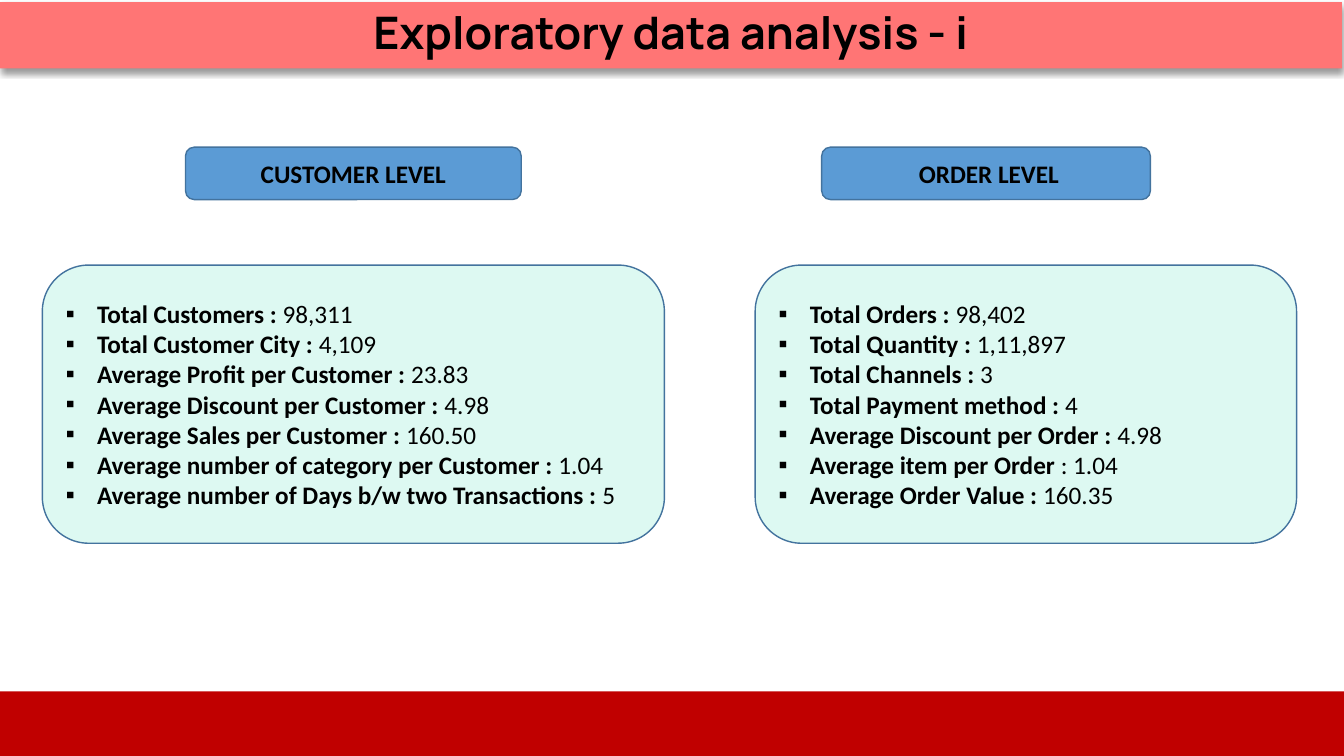
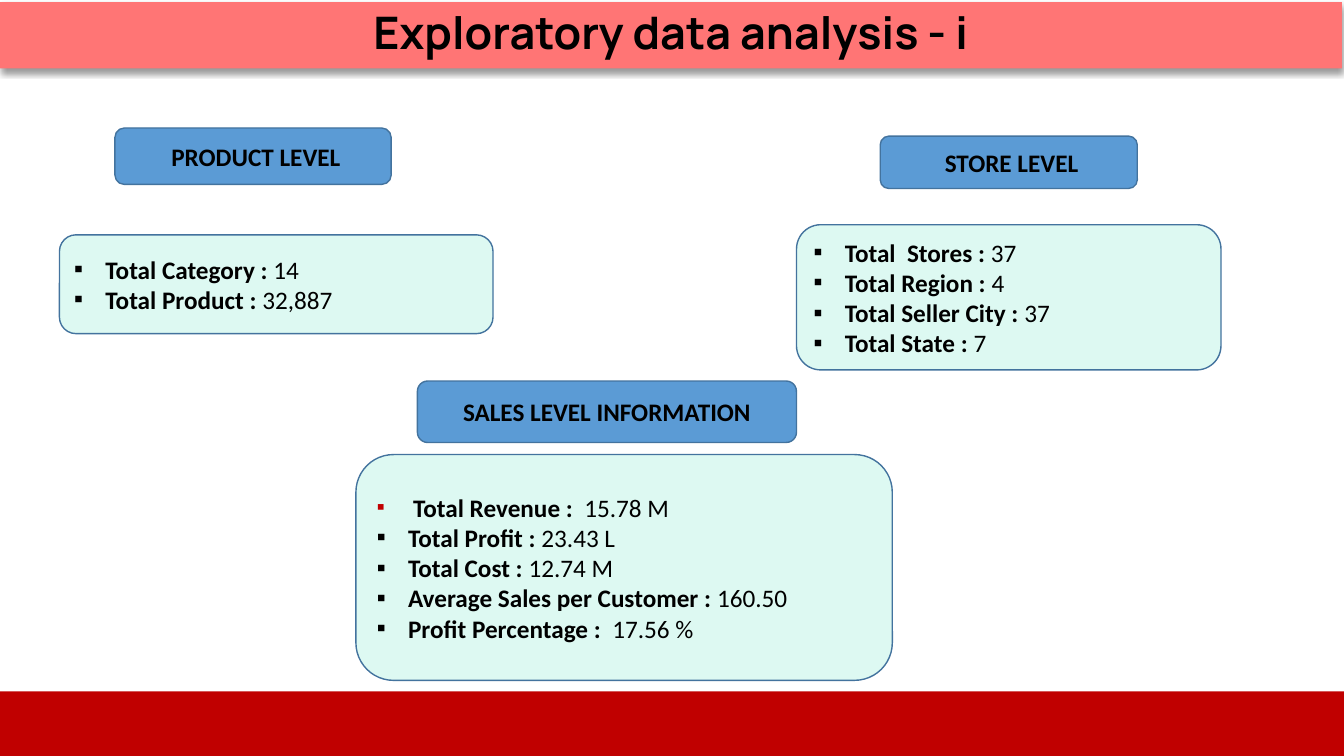
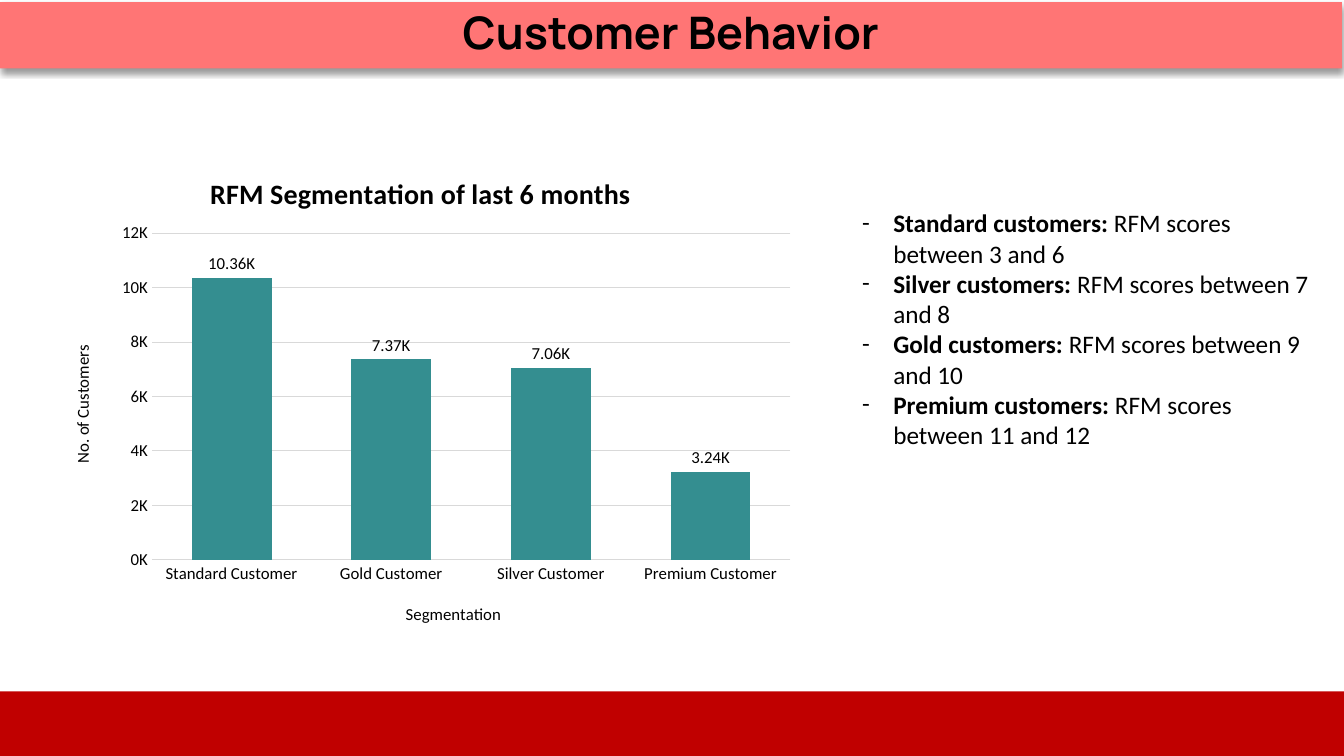
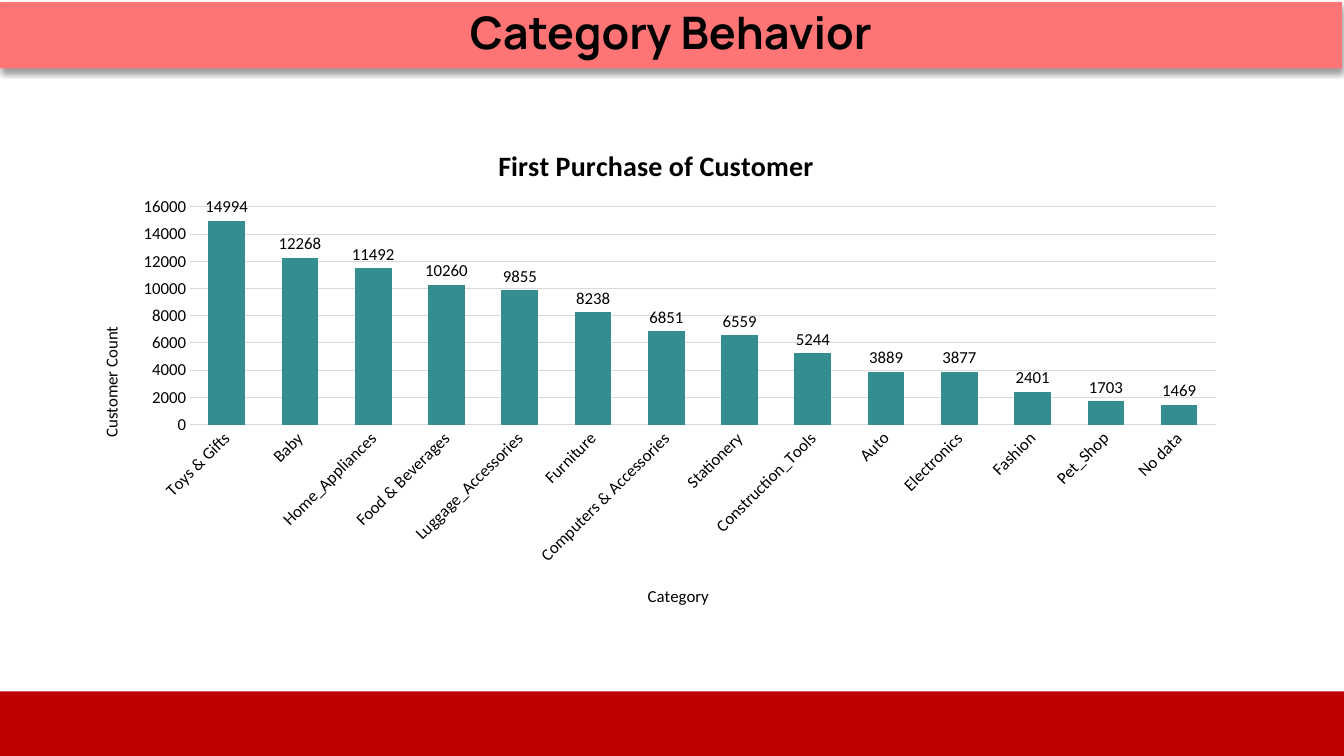
from lxml import etree
from pptx import Presentation
from pptx.chart.data import CategoryChartData
from pptx.dml.color import RGBColor
from pptx.enum import chart as charts, shapes, text
from pptx.oxml import parse_xml
from pptx.oxml.ns import nsdecls, qn
from pptx.util import Inches, Pt

BLACK = RGBColor(0x00, 0x00, 0x00)
CORAL = RGBColor(0xFF, 0x75, 0x75)
RED = RGBColor(0xC0, 0x00, 0x00)
MINT = RGBColor(0xDD, 0xF9, 0xF2)
BLUE = RGBColor(0x5B, 0x9B, 0xD5)
EDGE = RGBColor(0x43, 0x73, 0x9E)
TEAL = RGBColor(0x34, 0x8E, 0x90)
GREY = RGBColor(0xD9, 0xD9, 0xD9)

TITLE_FONT = "Manrope"
BODY_FONT = "Calibri"
BODY_LAYOUT, TITLE_LAYOUT = 1, 5
EDA_TITLE = "Exploratory data analysis - i"
BAND_SHADOW = (
    f'<a:effectLst {nsdecls("a")}><a:outerShdw blurRad="{Pt(4)}" dist="{Pt(3)}" '
    'dir="5400000" algn="t" rotWithShape="0"><a:srgbClr val="000000">'
    '<a:alpha val="40000"/></a:srgbClr></a:outerShdw></a:effectLst>'
)


def set_font(font, size, bold=False, color=BLACK, name=BODY_FONT):
    font.name = name
    font.size = Pt(size)
    font.bold = bold
    font.color.rgb = color


def move(shape, box):
    shape.left, shape.top, shape.width, shape.height = map(Inches, box)


def add_framed_slide(prs, heading, layout=TITLE_LAYOUT):
    slide = prs.slides.add_slide(prs.slide_layouts[layout])
    title = slide.shapes.title
    move(title, (0, 0.02, 13.31, 0.66))
    title.fill.solid()
    title.fill.fore_color.rgb = CORAL
    title._element.spPr.append(parse_xml(BAND_SHADOW))
    frame = title.text_frame
    frame.text = heading
    frame.auto_size = text.MSO_AUTO_SIZE.NONE
    frame.vertical_anchor = text.MSO_ANCHOR.MIDDLE
    paragraph = frame.paragraphs[0]
    paragraph.alignment = text.PP_ALIGN.CENTER
    paragraph.line_spacing = 0.9
    set_font(paragraph.runs[0].font, 32, True, name=TITLE_FONT)

    footer = slide.shapes.add_shape(
        shapes.MSO_SHAPE.RECTANGLE, 0, Inches(6.86), prs.slide_width, Inches(0.64))
    footer.shadow.inherit = False
    footer.fill.solid()
    footer.fill.fore_color.rgb = RED
    footer.line.fill.background()
    return slide


def add_rounded(slide, box, color):
    panel = slide.shapes.add_shape(
        shapes.MSO_SHAPE.ROUNDED_RECTANGLE, *map(Inches, box))
    panel.shadow.inherit = False
    panel.fill.solid()
    panel.fill.fore_color.rgb = color
    panel.line.color.rgb = EDGE
    panel.line.width = Pt(1)
    panel.text_frame.word_wrap = True
    panel.text_frame.vertical_anchor = text.MSO_ANCHOR.MIDDLE
    return panel


def set_bullet(paragraph, mark):
    props = paragraph._p.get_or_add_pPr()
    props.set("marL", str(Inches(0.31)))
    props.set("indent", str(-Inches(0.31)))
    etree.SubElement(props, qn("a:buFont")).set("typeface", BODY_FONT)
    etree.SubElement(props, qn("a:buChar")).set("char", mark)


def add_run(paragraph, words, size=18, bold=False, color=BLACK):
    run = paragraph.add_run()
    run.text = words
    set_font(run.font, size, bold, color)


def fill_list(frame, rows, mark, red_lead=False):
    for index, (label, value) in enumerate(rows):
        paragraph = frame.add_paragraph() if index else frame.paragraphs[0]
        set_bullet(paragraph, mark)
        paragraph.alignment = text.PP_ALIGN.LEFT
        paragraph.space_before = Pt(0)
        if red_lead and index == 0:
            add_run(paragraph, " ", 16, True, RED)
        add_run(paragraph, label, bold=True)
        add_run(paragraph, value)


def add_level(slide, heading, heading_box, rows, card_box, red_lead=False):
    card = add_rounded(slide, card_box, MINT)
    fill_list(card.text_frame, rows, "▪", red_lead)
    label = add_rounded(slide, heading_box, BLUE)
    label.text_frame.text = heading
    paragraph = label.text_frame.paragraphs[0]
    paragraph.alignment = text.PP_ALIGN.CENTER
    set_font(paragraph.runs[0].font, 18, True)


def set_layout(element, inner=False, **fractions):
    old = element.find(qn("c:layout"))
    if old is not None:
        element.remove(old)
    layout = etree.Element(qn("c:layout"))
    manual = etree.SubElement(layout, qn("c:manualLayout"))
    settings = {"layoutTarget": "inner"} if inner else {}
    settings.update(xMode="edge", yMode="edge", **fractions)
    for tag, value in settings.items():
        etree.SubElement(manual, qn(f"c:{tag}")).set("val", str(value))
    element.insert(0 if element.find(qn("c:tx")) is None else 1, layout)


def write_chart_title(owner, words, size, bold, at, rotation=0):
    title = owner.chart_title if hasattr(owner, "chart_title") else owner.axis_title
    title.text_frame.text = words
    set_font(title.text_frame.paragraphs[0].runs[0].font, size, bold)
    title.text_frame._txBody.bodyPr.set("rot", str(rotation * 60000))
    set_layout(title._element, x=at[0], y=at[1])


def add_columns(slide, box, titles, counts, top, plot_area, formats, tilt=0):
    data = CategoryChartData()
    data.categories = list(counts)
    data.add_series("Series 1", list(counts.values()))
    chart = slide.shapes.add_chart(
        charts.XL_CHART_TYPE.COLUMN_CLUSTERED, *map(Inches, box), data).chart
    chart.has_legend = False
    set_font(chart.font, 10)

    category, value = chart.category_axis, chart.value_axis
    for axis in (category, value):
        axis.major_tick_mark = charts.XL_TICK_MARK.NONE
        axis.minor_tick_mark = charts.XL_TICK_MARK.NONE
        set_font(axis.tick_labels.font, 12)
    category.format.line.color.rgb = GREY
    category.format.line.width = Pt(1)
    category._element.txPr.bodyPr.set("rot", str(tilt * 60000))
    value.format.line.fill.background()
    value.minimum_scale, value.maximum_scale, value.major_unit = 0, top, 2000
    value.major_gridlines.format.line.color.rgb = GREY
    value.major_gridlines.format.line.width = Pt(0.75)

    plot = chart.plots[0]
    plot.vary_by_categories = False
    plot.gap_width, plot.overlap = 100, -24
    series = plot.series[0]
    series.format.fill.solid()
    series.format.fill.fore_color.rgb = TEAL
    labels = series.data_labels
    labels.show_value = True
    labels.position = charts.XL_LABEL_POSITION.OUTSIDE_END
    set_font(labels.font, 12)
    for target, number_format in zip((value.tick_labels, labels), formats):
        target.number_format = number_format
        target.number_format_is_linked = False

    styles = ((chart, 20, True, 0), (category, 12, False, 0), (value, 12, False, -90))
    for (owner, size, bold, rotation), (words, at) in zip(styles, titles):
        write_chart_title(owner, words, size, bold, at, rotation)
    set_layout(chart._chartSpace.chart.plotArea, inner=True,
               **dict(zip("xywh", plot_area)))


def build_customers_and_orders(prs):
    slide = add_framed_slide(prs, EDA_TITLE)
    add_level(slide, "CUSTOMER LEVEL", (1.84, 1.46, 3.33, 0.52), [
        ("Total Customers : ", "98,311"),
        ("Total Customer City : ", "4,109"),
        ("Average Profit per Customer : ", "23.83"),
        ("Average Discount per Customer : ", "4.98"),
        ("Average Sales per Customer : ", "160.50"),
        ("Average number of category per Customer : ", "1.04"),
        ("Average number of Days b/w two Transactions : ", "5"),
    ], (0.42, 2.63, 6.17, 2.76))
    add_level(slide, " ORDER LEVEL", (8.15, 1.46, 3.26, 0.52), [
        ("Total Orders : ", "98,402"),
        ("Total Quantity : ", "1,11,897"),
        ("Total Channels : ", "3"),
        ("Total Payment method : ", "4"),
        ("Average Discount per Order : ", "4.98"),
        ("Average item per Order ", ": 1.04"),
        ("Average Order Value : ", "160.35"),
    ], (7.49, 2.63, 5.37, 2.76))


def build_products_stores_sales(prs):
    slide = add_framed_slide(prs, EDA_TITLE)
    add_level(slide, " PRODUCT LEVEL", (1.14, 1.27, 2.74, 0.56), [
        ("Total Category : ", "14"),
        ("Total Product : ", "32,887"),
    ], (0.59, 2.33, 4.3, 0.98))
    add_level(slide, " STORE LEVEL", (8.73, 1.35, 2.55, 0.52), [
        ("Total  Stores : ", "37"),
        ("Total Region : ", "4"),
        ("Total Seller City : ", "37"),
        ("Total State : ", "7"),
    ], (7.9, 2.23, 4.21, 1.44))
    add_level(slide, "SALES LEVEL INFORMATION", (4.14, 3.78, 3.76, 0.61), [
        ("Total Revenue :  ", "15.78 M"),
        ("Total Profit : ", "23.43 L"),
        ("Total Cost : ", "12.74 M"),
        ("Average Sales per Customer : ", "160.50"),
        ("Profit Percentage :  ", "17.56 %"),
    ], (3.53, 4.51, 5.32, 2.24), red_lead=True)


def build_customer_behavior(prs):
    slide = add_framed_slide(prs, "Customer Behavior", BODY_LAYOUT)
    segments = {"Standard Customer": 10360, "Gold Customer": 7370,
                "Silver Customer": 7060, "Premium Customer": 3240}
    add_columns(
        slide, (0.45, 1.43, 7.54, 4.91),
        (("RFM Segmentation of last 6 months", (0.21, 0.05)),
         ("Segmentation", (0.47, 0.92)),
         ("No. of Customers", (0.03, 0.4))),
        segments, 12000, (0.14, 0.18, 0.84, 0.66), ('0,"K"', '0.00,"K"'))
    scores = slide.placeholders[1]
    move(scores, (8.45, 2.01, 4.73, 2.52))
    scores.text_frame.auto_size = text.MSO_AUTO_SIZE.NONE
    fill_list(scores.text_frame, [
        ("Standard customers: ", "RFM scores between 3 and 6"),
        ("Silver customers: ", "RFM scores between 7 and 8"),
        ("Gold customers: ", "RFM scores between 9 and 10"),
        ("Premium customers: ", "RFM scores between 11 and 12"),
    ], "-")


def build_category_behavior(prs):
    slide = add_framed_slide(prs, "Category Behavior")
    purchases = {
        "Toys & Gifts": 14994, "Baby": 12268, "Home_Appliances": 11492,
        "Food & Beverages": 10260, "Luggage_Accessories": 9855,
        "Furniture": 8238, "Computers & Accessories": 6851,
        "Stationery": 6559, "Construction_Tools": 5244, "Auto": 3889,
        "Electronics": 3877, "Fashion": 2401, "Pet_Shop": 1703, "No data": 1469,
    }
    add_columns(
        slide, (0.73, 1.15, 11.56, 5.02),
        (("First Purchase of Customer", (0.36, 0.05)),
         ("Category", (0.49, 0.92)),
         ("Customer Count", (0.02, 0.41))),
        purchases, 16000, (0.1, 0.18, 0.88, 0.43), ("General", "General"), tilt=-45)


def main():
    prs = Presentation()
    prs.slide_width, prs.slide_height = Inches(13.33), Inches(7.5)
    build_customers_and_orders(prs)
    build_products_stores_sales(prs)
    build_customer_behavior(prs)
    build_category_behavior(prs)
    prs.save("out.pptx")


if __name__ == "__main__":
    main()
